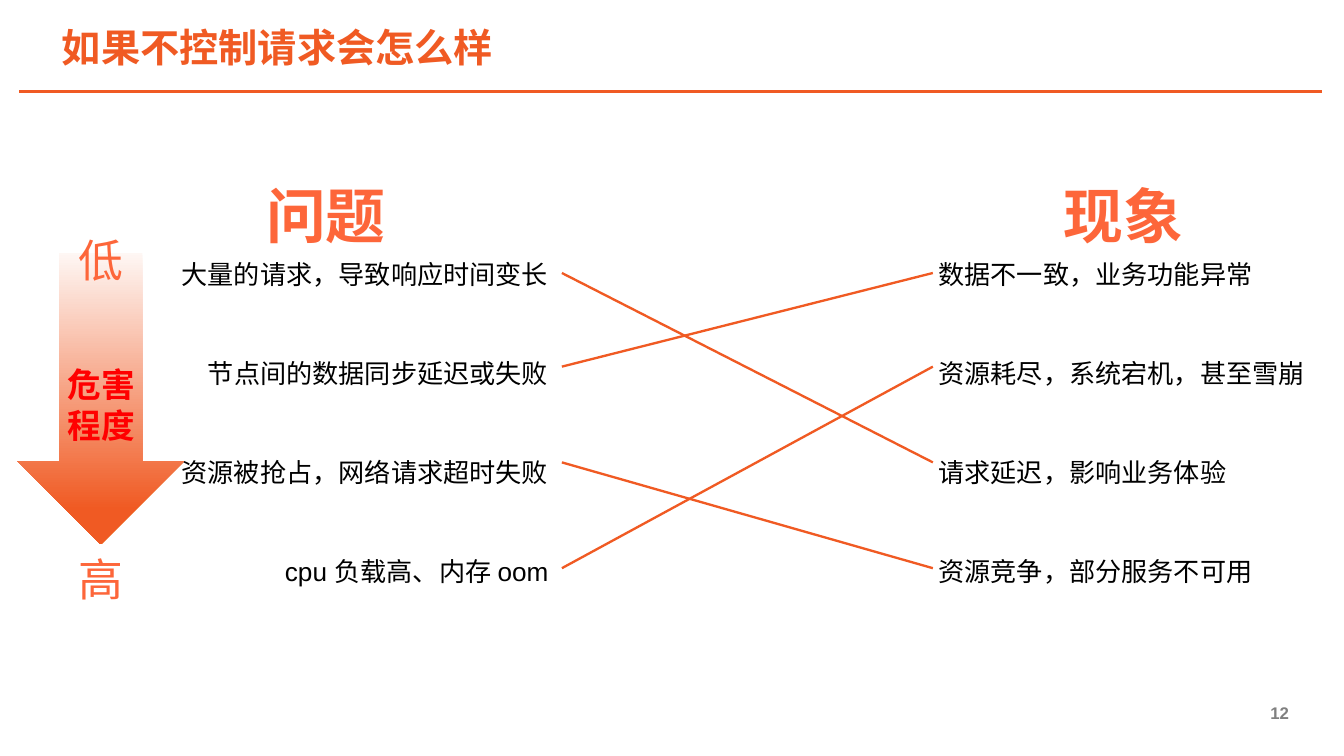
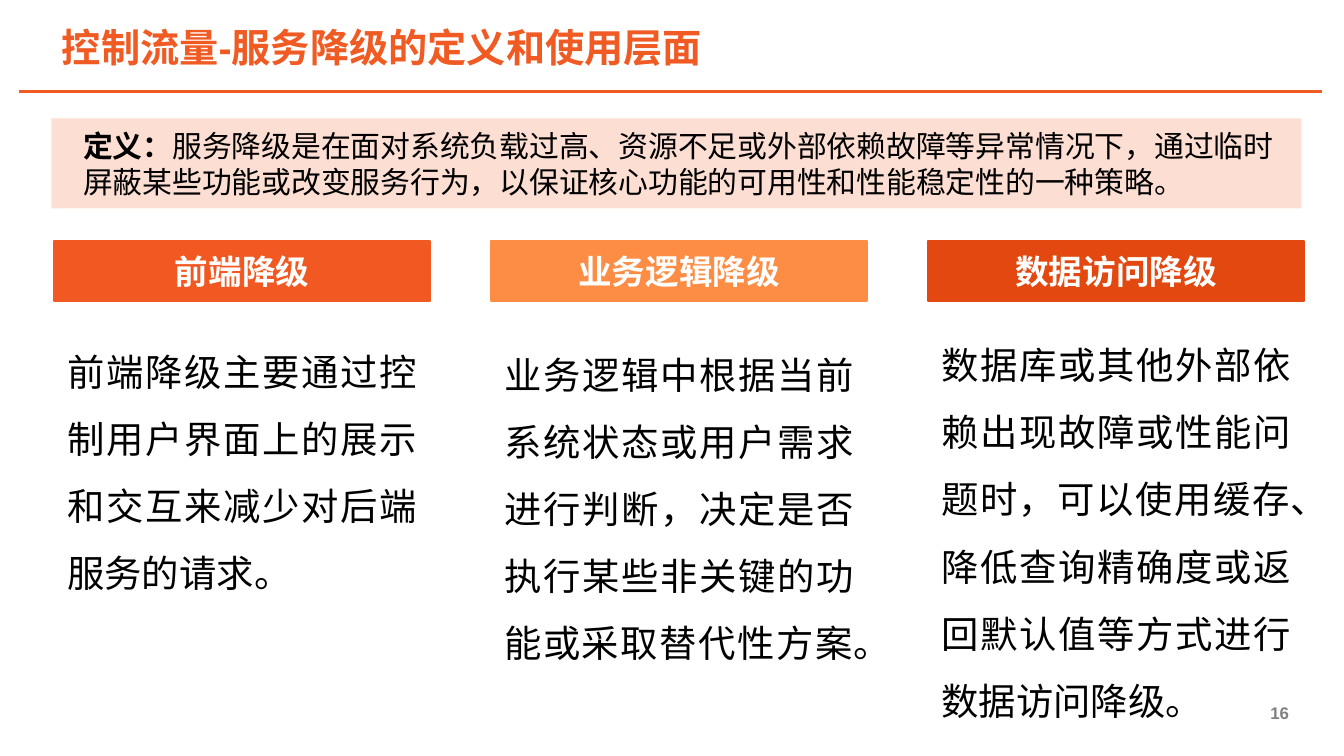
"""Build two slides on uncontrolled requests and service degradation."""
from dataclasses import dataclass

from lxml import etree
from pptx import Presentation
from pptx.dml.color import RGBColor
from pptx.enum.shapes import MSO_CONNECTOR, MSO_SHAPE
from pptx.enum.text import MSO_ANCHOR, MSO_AUTO_SIZE, PP_ALIGN
from pptx.oxml.ns import qn
from pptx.util import Cm, Pt

STRAIGHT = MSO_CONNECTOR.STRAIGHT
RECTANGLE, DOWN_ARROW = MSO_SHAPE.RECTANGLE, MSO_SHAPE.DOWN_ARROW
TOP, MIDDLE, BOTTOM = MSO_ANCHOR.TOP, MSO_ANCHOR.MIDDLE, MSO_ANCHOR.BOTTOM
LEFT, CENTER, RIGHT = PP_ALIGN.LEFT, PP_ALIGN.CENTER, PP_ALIGN.RIGHT
JUSTIFY = PP_ALIGN.JUSTIFY
GROW = MSO_AUTO_SIZE.SHAPE_TO_FIT_TEXT


@dataclass(frozen=True)
class Theme:
    font: str = "Arial"
    cjk: str = "Noto Sans CJK SC"
    accent: str = "F05A23"
    heading: str = "FD663A"
    pale: str = "FCDED3"
    fade: str = "FEF7F4"
    alert: str = "FF0000"
    ink: str = "000000"
    white: str = "FFFFFF"
    grey: str = "808080"
    number_size: float = 9
    row_size: float = 14
    definition_size: float = 16
    label_size: float = 18
    body_size: float = 20
    title_size: float = 21
    level_size: float = 24
    heading_size: float = 32


THEME = Theme()

RISKS = {
    "title": "如果不控制请求会怎么样",
    "number": "12",
    "headings": ("问题", "现象"),
    "rows": [
        ("大量的请求，导致响应时间变长", "数据不一致，业务功能异常"),
        ("节点间的数据同步延迟或失败", "资源耗尽，系统宕机，甚至雪崩"),
        ("资源被抢占，网络请求超时失败", "请求延迟，影响业务体验"),
        ("cpu 负载高、内存 oom", "资源竞争，部分服务不可用"),
    ],
    "links": [(0, 2), (1, 0), (2, 3), (3, 1)],
    "severity": "危害程度",
    "levels": [("低", 4.27), ("高", 10.31)],
}

DEGRADATION = {
    "title": "控制流量-服务降级的定义和使用层面",
    "number": "16",
    "definition": (
        "定义：",
        "服务降级是在面对系统负载过高、资源不足或外部依赖故障等异常情况下，"
        "通过临时屏蔽某些功能或改变服务行为，"
        "以保证核心功能的可用性和性能稳定性的一种策略。",
    ),
    "layers": [
        ("前端降级", "F25822", 6.05, 5.38,
         "前端降级主要通过控制用户界面上的展示和交互来减少对后端服务的请求。"),
        ("业务逻辑降级", "FD8D45", 6.1, 6.65,
         "业务逻辑中根据当前系统状态或用户需求进行判断，"
         "决定是否执行某些非关键的功能或采取替代性方案。"),
        ("数据访问降级", "E34810", 5.92, 7.95,
         "数据库或其他外部依赖出现故障或性能问题时，"
         "可以使用缓存、降低查询精确度或返回默认值等方式进行数据访问降级。"),
    ],
}


def rgb(value):
    return RGBColor.from_string(value)


def write(frame, runs, size, color, align=LEFT, font=THEME.font, indent=0):
    paragraph = frame.paragraphs[0]
    paragraph.alignment = align
    if indent:
        paragraph._p.get_or_add_pPr().set("marL", str(Cm(indent)))
    for text, bold in runs:
        run = paragraph.add_run()
        run.text = text
        run.font.name = font
        run.font.size = Pt(size)
        run.font.bold = bold
        run.font.color.rgb = rgb(color)
        east_asian = etree.Element(qn("a:ea"), typeface=THEME.cjk)
        run._r.rPr.find(qn("a:latin")).addnext(east_asian)
    return paragraph


def add_text(slide, box, runs, size, color, anchor=TOP, insets=None, grow=False, **style):
    frame = slide.shapes.add_textbox(*map(Cm, box)).text_frame
    frame.word_wrap = True
    frame.vertical_anchor = anchor
    if grow:
        frame.auto_size = GROW
    if insets:
        (frame.margin_left, frame.margin_top,
         frame.margin_right, frame.margin_bottom) = map(Cm, insets)
    return write(frame, runs, size, color, **style)


def add_shape(slide, kind, box, fill=None, outlined=False):
    shape = slide.shapes.add_shape(kind, *map(Cm, box))
    shape.shadow.inherit = False
    if fill:
        shape.fill.solid()
        shape.fill.fore_color.rgb = rgb(fill)
    if outlined:
        shape.line.color.rgb = rgb(fill)
        shape.line.width = Pt(1)
    else:
        shape.line.fill.background()
    return shape


def add_line(slide, start, end, width):
    line = slide.shapes.add_connector(STRAIGHT, *map(Cm, (*start, *end)))
    line.line.color.rgb = rgb(THEME.accent)
    line.line.width = Pt(width)
    etree.SubElement(line._element.spPr, qn("a:effectLst"))


def add_base(deck, content):
    slide = deck.slides.add_slide(deck.slide_layouts[6])
    add_text(slide, (18.47, 13.34, 6.07, 0.43), [(content["number"], True)],
             THEME.number_size, THEME.grey, BOTTOM, (0.18, 0, 0.18, 0.1), align=RIGHT)
    add_line(slide, (0.36, 1.73), (24.99, 1.73), 1.5)
    add_text(slide, (1.17, 0.4, 15.9, 0.97), [(content["title"], True)],
             THEME.title_size, THEME.accent, MIDDLE, (0, 0, 0, 0))
    return slide


def format_cell(cell, bottom_width):
    properties = cell._tc.get_or_add_tcPr()
    for side in "LRTB":
        width = bottom_width if side == "B" else 1
        border = etree.SubElement(properties, qn(f"a:ln{side}"), w=str(Pt(width)))
        fill = etree.SubElement(border, qn("a:solidFill"))
        etree.SubElement(fill, qn("a:srgbClr"), val=THEME.white)
    cell.fill.background()


def add_pairs(slide, headings, pairs):
    rows = [headings, *pairs]
    frame = slide.shapes.add_table(len(rows), 3, Cm(1.7), Cm(3.07), Cm(23.27), Cm(8.95))
    table = frame.table
    table.first_row = table.horz_banding = False
    for column, width in zip(table.columns, (8.92, 6.86, 7.49)):
        column.width = Cm(width)
    for index, (problem, symptom) in enumerate(rows):
        header = index == 0
        table.rows[index].height = Cm(1.47 if header else 1.87)
        for cell in table.rows[index].cells:
            format_cell(cell, 3 if header else 1)
        size = THEME.heading_size if header else THEME.row_size
        color = THEME.heading if header else THEME.ink
        sides = ((0, problem, RIGHT), (2, symptom, LEFT))
        for column, text, align in sides:
            write(table.cell(index, column).text_frame, [(text, header)], size, color,
                  CENTER if header else align)


def build_risks(deck):
    slide = add_base(deck, RISKS)
    add_pairs(slide, RISKS["headings"], RISKS["rows"])
    row_tops = (5.16, 6.93, 8.74, 10.74)
    for problem, symptom in RISKS["links"]:
        add_line(slide, (10.62, row_tops[problem]), (17.63, row_tops[symptom]), 1.25)
    arrow = add_shape(slide, DOWN_ARROW, (0.33, 4.78, 3.15, 5.51))
    arrow.fill.gradient()
    arrow.fill.gradient_angle = 270
    stops = ((0, THEME.fade), (0.88, THEME.accent))
    for stop, (position, color) in zip(arrow.fill.gradient_stops, stops):
        stop.position = position
        stop.color.rgb = rgb(color)
    add_text(slide, (0.71, 6.76, 2.4, 1.02), [(RISKS["severity"], True)],
             THEME.label_size, THEME.alert, align=CENTER)
    for level, top in RISKS["levels"]:
        add_text(slide, (0.94, top, 1.68, 1.27), [(level, False)],
                 THEME.level_size, THEME.heading, grow=True, indent=0.3)


def build_degradation(deck):
    slide = add_base(deck, DEGRADATION)
    add_shape(slide, RECTANGLE, (0.97, 2.24, 23.62, 1.7), THEME.pale)
    term, meaning = DEGRADATION["definition"]
    add_text(slide, (1.02, 2.29, 23.57, 1.63), [(term, True), (meaning, False)],
             THEME.definition_size, THEME.ink, grow=True, indent=0.3)
    left, pitch, width = 1.02, 8.26, 7.11
    for index, (name, color, top, height, detail) in enumerate(DEGRADATION["layers"]):
        x = left + index * pitch
        band = add_shape(slide, RECTANGLE, (x, 4.55, width, 1.14), color, outlined=True)
        band.text_frame.vertical_anchor = MIDDLE
        write(band.text_frame, [(name, True)], THEME.label_size, THEME.white, CENTER)
        body = add_text(slide, (x, top, width, height), [(detail, False)],
                        THEME.body_size, THEME.ink, grow=True, align=JUSTIFY, font=THEME.cjk)
        body.line_spacing = 1.5
        body.space_after = Pt(6)


def main():
    deck = Presentation()
    deck.slide_width, deck.slide_height = Cm(25.4), Cm(14.29)
    build_risks(deck)
    build_degradation(deck)
    deck.save("out.pptx")


if __name__ == "__main__":
    main()
